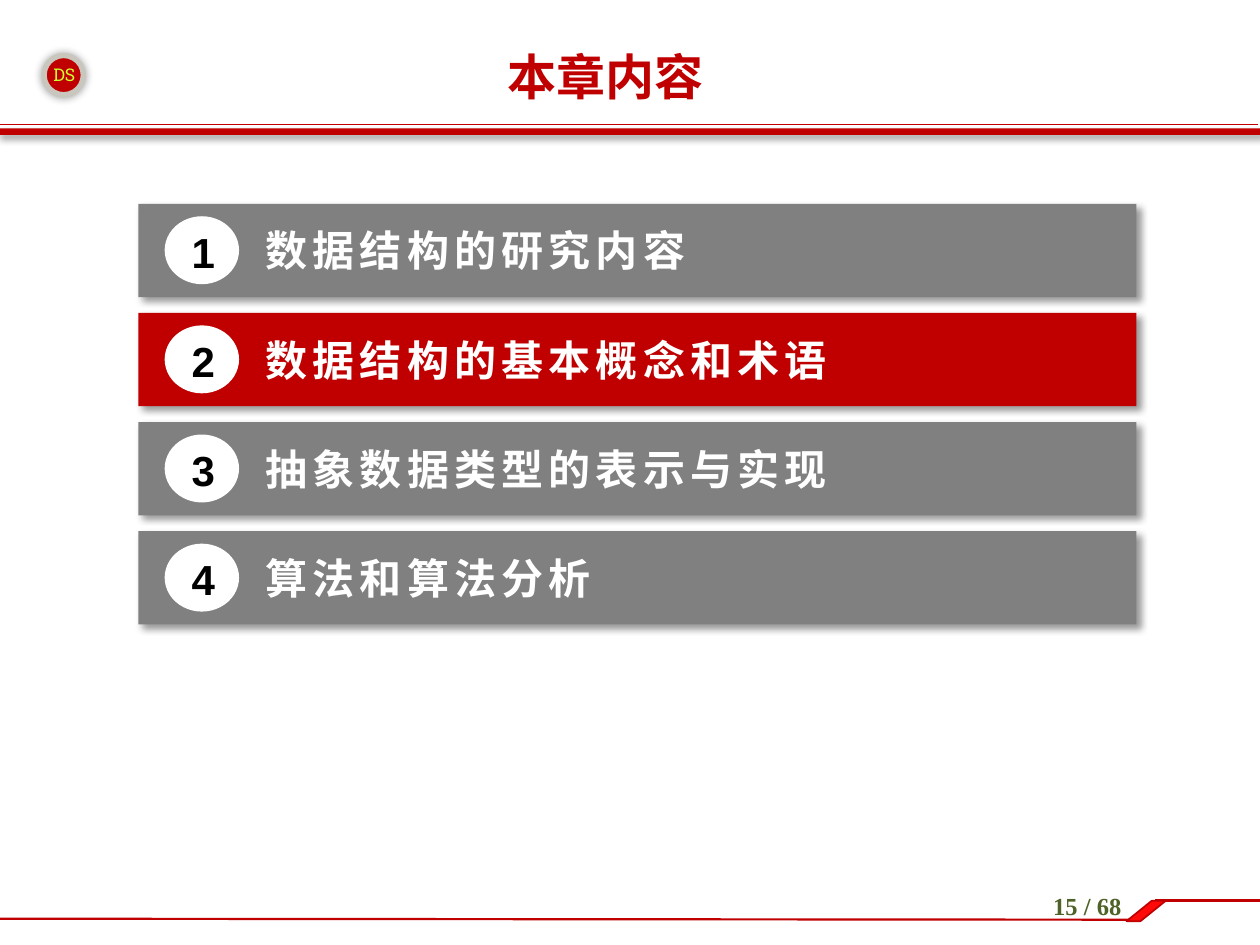
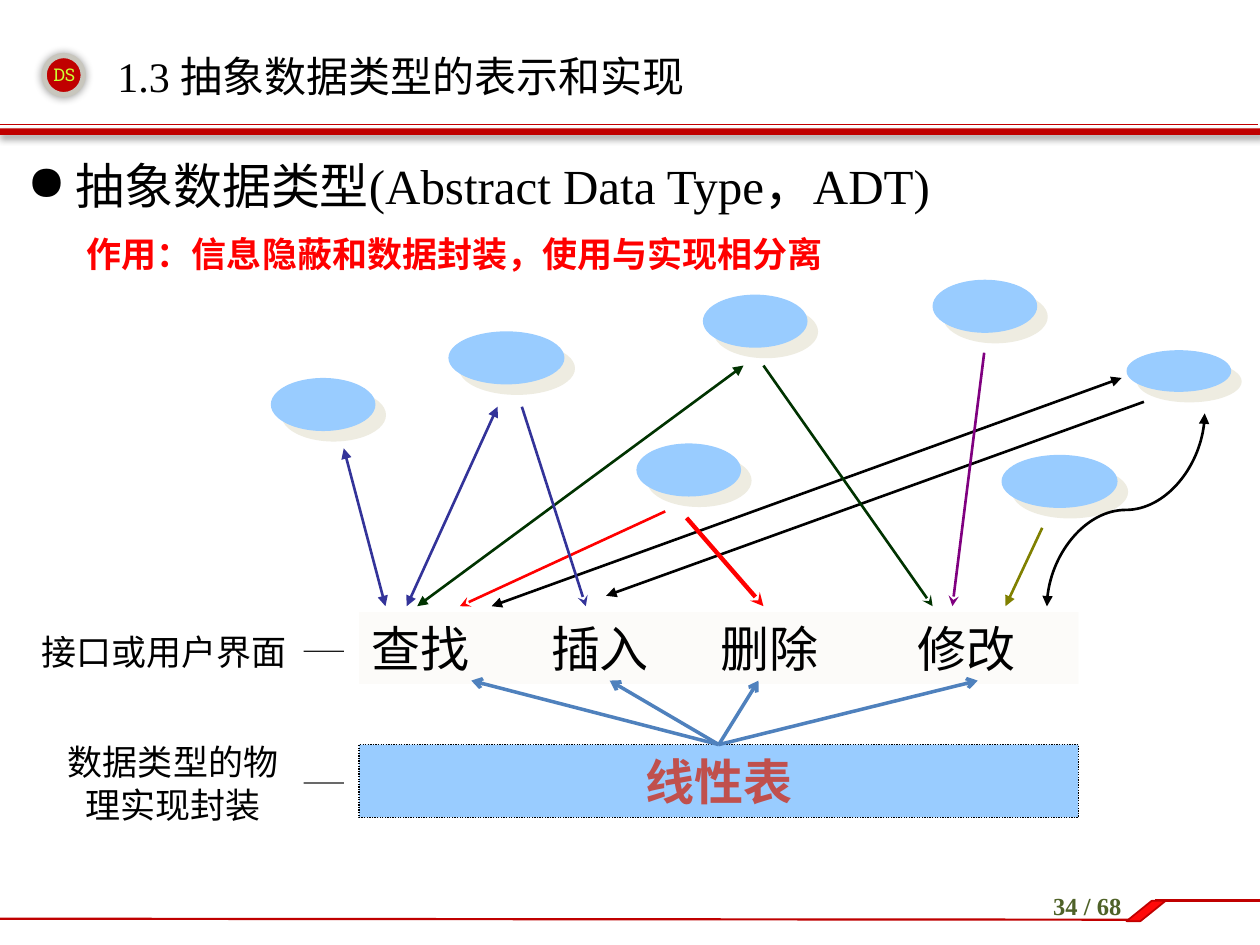
from dataclasses import dataclass

from lxml.etree import SubElement
from pptx import Presentation
from pptx.dml.color import RGBColor
from pptx.enum.dml import MSO_LINE
from pptx.enum.shapes import MSO_CONNECTOR, MSO_SHAPE
from pptx.enum.text import MSO_ANCHOR, MSO_AUTO_SIZE, PP_ALIGN
from pptx.oxml.ns import qn
from pptx.util import Cm, Pt

COLORS = {
    "red": "C00000", "bright_red": "FF0000", "flag": "FF0909", "ring": "C8C6BD",
    "lime": "CCFF33", "olive": "4F6228", "gray": "808080", "white": "FFFFFF",
    "black": "000000", "sky": "99CCFF", "sand": "EEECE1", "bar": "FCFBF9",
    "brick": "C0504D", "indigo": "333399", "green": "003300", "purple": "800080",
    "mustard": "808000", "blue": "4F81BD", "ink": "1A1A1A",
}
SERIF, SANS, CJK = "Times New Roman", "Arial", "Noto Sans CJK SC"
BAND_SHADOW = ("black", 40, 4, 3)
USER_SHADOW = ("sand", 100, 0, 8.5)
PAGE_COUNT = 68


@dataclass
class Box:
    """A rectangle in centimetres."""
    left: float
    top: float
    width: float
    height: float

    def inner(self, left, top, width, height):
        """Return a box placed relative to this one."""
        return Box(self.left + left, self.top + top, width, height)

    def lengths(self):
        """Return left, top, width and height as lengths."""
        return [Cm(value) for value in (self.left, self.top, self.width, self.height)]


def color(name):
    """Look up a named colour."""
    return RGBColor.from_string(COLORS[name])


def set_shadow(shape, name, opacity, blur, distance):
    """Give a shape an outer shadow falling to the lower right."""
    effects = shape._element.spPr.find(qn("a:effectLst"))
    outer = SubElement(effects, qn("a:outerShdw"), blurRad=str(Pt(blur)),
                       dist=str(Pt(distance)), dir="2700000", algn="tl", rotWithShape="0")
    tint = SubElement(outer, qn("a:srgbClr"), val=COLORS[name])
    SubElement(tint, qn("a:alpha"), val=str(opacity * 1000))


def add_block(page, kind, box, fill, line=None, width=1, shadow=None):
    """Add a filled preset shape."""
    shape = page.shapes.add_shape(kind, *box.lengths())
    shape.shadow.inherit = False
    shape.fill.solid()
    shape.fill.fore_color.rgb = color(fill)
    if line:
        shape.line.color.rgb = color(line)
        shape.line.width = Pt(width)
    else:
        shape.line.fill.background()
    if shadow:
        set_shadow(shape, *shadow)
    return shape


def add_line(page, box, start, end, name, width, head=None, tail=None,
             kind=MSO_CONNECTOR.STRAIGHT):
    """Add a connector between two points relative to the box."""
    points = [Cm(value) for value in (box.left + start[0], box.top + start[1],
                                      box.left + end[0], box.top + end[1])]
    line = page.shapes.add_connector(kind, *points)
    line.line.color.rgb = color(name)
    line.line.width = Pt(width)
    properties = line._element.spPr
    for tag, arrow in (("a:headEnd", head), ("a:tailEnd", tail)):
        if arrow:
            SubElement(properties.find(qn("a:ln")), qn(tag), type=arrow)
    SubElement(properties, qn("a:effectLst"))
    return line


def write(shape, text, size, font, name, bold=False, align=PP_ALIGN.LEFT,
          anchor=MSO_ANCHOR.TOP, spacing=None, bullet=None, tabs=()):
    """Put one formatted paragraph into a shape."""
    frame = shape.text_frame
    frame.word_wrap = True
    frame.auto_size = MSO_AUTO_SIZE.NONE
    frame.vertical_anchor = anchor
    frame.text = text
    para = frame.paragraphs[0]
    para.alignment = align
    properties = para._p.get_or_add_pPr()
    if bullet:
        indent = Cm(0.97)
        properties.set("marL", str(indent))
        properties.set("indent", str(-indent))
        SubElement(properties, qn("a:buChar"), char=bullet)
    if tabs:
        stops = SubElement(properties, qn("a:tabLst"))
        for stop in tabs:
            SubElement(stops, qn("a:tab"), pos=str(Cm(stop)), algn="l")
    para.font.size = Pt(size)
    para.font.name = font
    para.font.bold = bold
    para.font.color.rgb = color(name)
    defaults = properties.find(qn("a:defRPr"))
    SubElement(defaults, qn("a:ea"), typeface=CJK)
    if spacing:
        defaults.set("spc", str(spacing * 100))


def add_text(page, box, *args, **options):
    """Add a text box with one paragraph."""
    shape = page.shapes.add_textbox(*box.lengths())
    write(shape, *args, **options)
    return shape


def add_header(page, box, title, size, name, bold, align):
    """Draw the badge, the title and the double rule."""
    add_block(page, MSO_SHAPE.OVAL, box.inner(0.89, 1.12, 0.79, 0.79), "red",
              "ring", 3, ("black", 40, 5, 0))
    add_text(page, box.inner(0.61, 1.17, 1.37, 0.69), "DS", 10, "Roboto Slab", "lime",
             align=PP_ALIGN.CENTER)
    add_line(page, box, (-0.05, 2.51), (25.35, 2.51), "red", 0.25)
    add_block(page, MSO_SHAPE.RECTANGLE, box.inner(-0.08, 2.59, 25.48, 0.13), "red",
              shadow=BAND_SHADOW)
    heading = page.shapes.title
    heading.left, heading.top, heading.width, heading.height = box.inner(
        2.11, 0.76, 20.19, 1.55).lengths()
    write(heading, title, size, SERIF, name, bold, align, MSO_ANCHOR.MIDDLE)


def add_footer(page, box, number):
    """Draw the stepped rule and the page number."""
    add_line(page, box, (0, 0.69), (22.76, 0.71), "red", 1.25)
    add_line(page, box, (23.29, 0.33), (25.4, 0.33), "red", 1.5)
    flag = add_block(page, MSO_SHAPE.PARALLELOGRAM, box.inner(22.71, 0.33, 0.79, 0.41),
                     "flag", "red", 1)
    flag.adjustments[0] = 1.24
    add_text(page, box.inner(20.32, 0, 3.2, 1.02), f"{number} / {PAGE_COUNT}", 14, SERIF,
             "olive", True, PP_ALIGN.CENTER)


def add_page(deck, number, title, size, name, bold=False, align=PP_ALIGN.LEFT):
    """Add a slide with the shared header and footer."""
    page = deck.slides.add_slide(deck.slide_layouts[5])
    add_header(page, Box(0, 0, 25.4, 2.72), title, size, name, bold, align)
    add_footer(page, Box(0, 17.83, 25.4, 1.22), number)
    return page


def add_chapter_row(page, box, number, topic, fill):
    """Draw one numbered row of the chapter list."""
    add_block(page, MSO_SHAPE.RECTANGLE, box, fill, shadow=BAND_SHADOW)
    add_block(page, MSO_SHAPE.OVAL, box.inner(0.53, 0.25, 1.5, 1.37), "white")
    add_text(page, box.inner(2.31, 0.3, 17.81, 1.3), topic, 24, CJK, "white", True,
             spacing=3)
    add_text(page, box.inner(0.51, 0.33, 1.6, 1.3), str(number), 24, SANS, "black", True,
             PP_ALIGN.CENTER)


def add_chapter_list(page, box, topics, current):
    """Stack the chapter rows and highlight the current one."""
    for index, topic in enumerate(topics):
        row = box.inner(0, 2.2 * index, box.width, 1.88)
        add_chapter_row(page, row, index + 1, topic, "red" if index + 1 == current else "gray")


def add_users(page, box):
    """Draw the ellipses that stand for users of the data type."""
    narrow, wide, tall, flat = 2.11, 2.34, 1.07, 0.84
    for place in ((4.96, 2.02, narrow, tall), (8.54, 1.08, wide, tall),
                  (12.33, 3.34, narrow, tall), (13.67, 0.34, narrow, tall),
                  (19.69, 3.57, wide, tall), (18.3, 0.04, narrow, tall),
                  (22.21, 1.46, narrow, flat)):
        add_block(page, MSO_SHAPE.OVAL, box.inner(*place), "sky", shadow=USER_SHADOW)


def add_calls(page, box):
    """Draw the arrows from the users to the operations."""
    landing = 6.62
    curve = add_line(page, box, (20.25, 3.09), (24.14, 6.27), "black", 1.5,
                     "triangle", "triangle", MSO_CONNECTOR.CURVE)
    curve._element.spPr.find(qn("a:xfrm")).set("rot", "5400000")
    for start, end, name, width, head, tail in (
            ((6.43, 3.44), (7.27, landing), "indigo", 1.5, "triangle", "triangle"),
            ((9.53, 2.6), (7.7, landing), "indigo", 1.5, "triangle", "triangle"),
            ((14.49, 1.77), (7.91, landing), "green", 1.5, "triangle", "triangle"),
            ((12.91, 4.71), (8.77, landing), "bright_red", 1.5, None, "stealth"),
            ((22.11, 2.02), (9.41, landing), "black", 1.5, "triangle", "triangle"),
            ((10.02, 2.6), (11.31, landing), "indigo", 1.5, None, "stealth"),
            ((22.56, 2.5), (11.72, 6.41), "black", 1.5, None, "triangle"),
            ((13.34, 4.84), (14.89, landing), "bright_red", 2.5, None, "stealth"),
            ((14.89, 1.77), (18.3, landing), "green", 1.5, None, "stealth"),
            ((19.34, 1.51), (18.7, landing), "purple", 1.5, None, "stealth"),
            ((20.51, 5.04), (19.77, landing), "mustard", 1.5, None, "triangle")):
        add_line(page, box, start, end, name, width, head, tail)


def add_layers(page, box):
    """Draw the interface bar, the list below it and the arrows between."""
    interface = add_block(page, MSO_SHAPE.RECTANGLE, box.inner(6.74, 6.74, 14.5, 1.45), "bar")
    write(interface, "\t".join(("查找", "插入", "删除", "修改")), 28, SANS, "black",
          tabs=(3.62, 7.03, 11))
    storage = add_block(page, MSO_SHAPE.RECTANGLE, box.inner(6.74, 9.41, 14.5, 1.47), "sky",
                        "black", 0.75)
    storage.line.dash_style = MSO_LINE.ROUND_DOT
    write(storage, "线性表", 28, SANS, "brick", True, PP_ALIGN.CENTER, MSO_ANCHOR.MIDDLE)
    for target in (9, 11.79, 14.79, 19.21):
        arrow = add_line(page, box, (13.99, 9.41), (target, 8.12), "blue", 2, tail="arrow")
        arrow.begin_connect(storage, 0)


def add_layer_labels(page, box):
    """Name each layer on the left and tie the name to it with a dash."""
    for text, left, top, width, height in (("接口或用户界面", 0.01, 6.64, 5.61, 1.78),
                                           ("数据类型的物理实现封装", 0.36, 8.85, 5.26, 2.67)):
        label = add_text(page, box.inner(left, top, width, height), text, 20, SANS, "black",
                         align=PP_ALIGN.CENTER, anchor=MSO_ANCHOR.MIDDLE)
        middle = top + height / 2
        dash = add_line(page, box, (left + width, middle), (6.43, middle), "ink", 0.75)
        dash.begin_connect(label, 3)


def add_definition(page, box):
    """Write the term and its purpose."""
    add_text(page, box, "抽象数据类型(Abstract Data Type，ADT)", 28, SERIF, "black", bullet="●")
    add_text(page, box.inner(1.2, 1.3, 19.71, 1.57),
             "作用：信息隐蔽和数据封装，使用与实现相分离", 20, CJK, "bright_red", True,
             anchor=MSO_ANCHOR.MIDDLE)


def build_contents(deck):
    """Build the chapter contents slide."""
    page = add_page(deck, 15, "本章内容", 28, "red", True, PP_ALIGN.CENTER)
    topics = ("数据结构的研究内容", "数据结构的基本概念和术语",
              "抽象数据类型的表示与实现", "算法和算法分析")
    add_chapter_list(page, Box(2.79, 4.11, 20.12, 8.48), topics, current=2)


def build_data_type(deck):
    """Build the abstract data type slide."""
    page = add_page(deck, 34, "1.3 抽象数据类型的表示和实现", 24, "black")
    add_definition(page, Box(0.3, 3.02, 24.61, 15.5))
    diagram = Box(0.5, 5.6, 24.4, 11.6)
    for add_part in (add_users, add_layers, add_calls, add_layer_labels):
        add_part(page, diagram)


def main():
    """Build and save the deck."""
    deck = Presentation()
    deck.slide_width, deck.slide_height = Cm(25.4), Cm(19.05)
    build_contents(deck)
    build_data_type(deck)
    deck.save("out.pptx")


if __name__ == "__main__":
    main()
